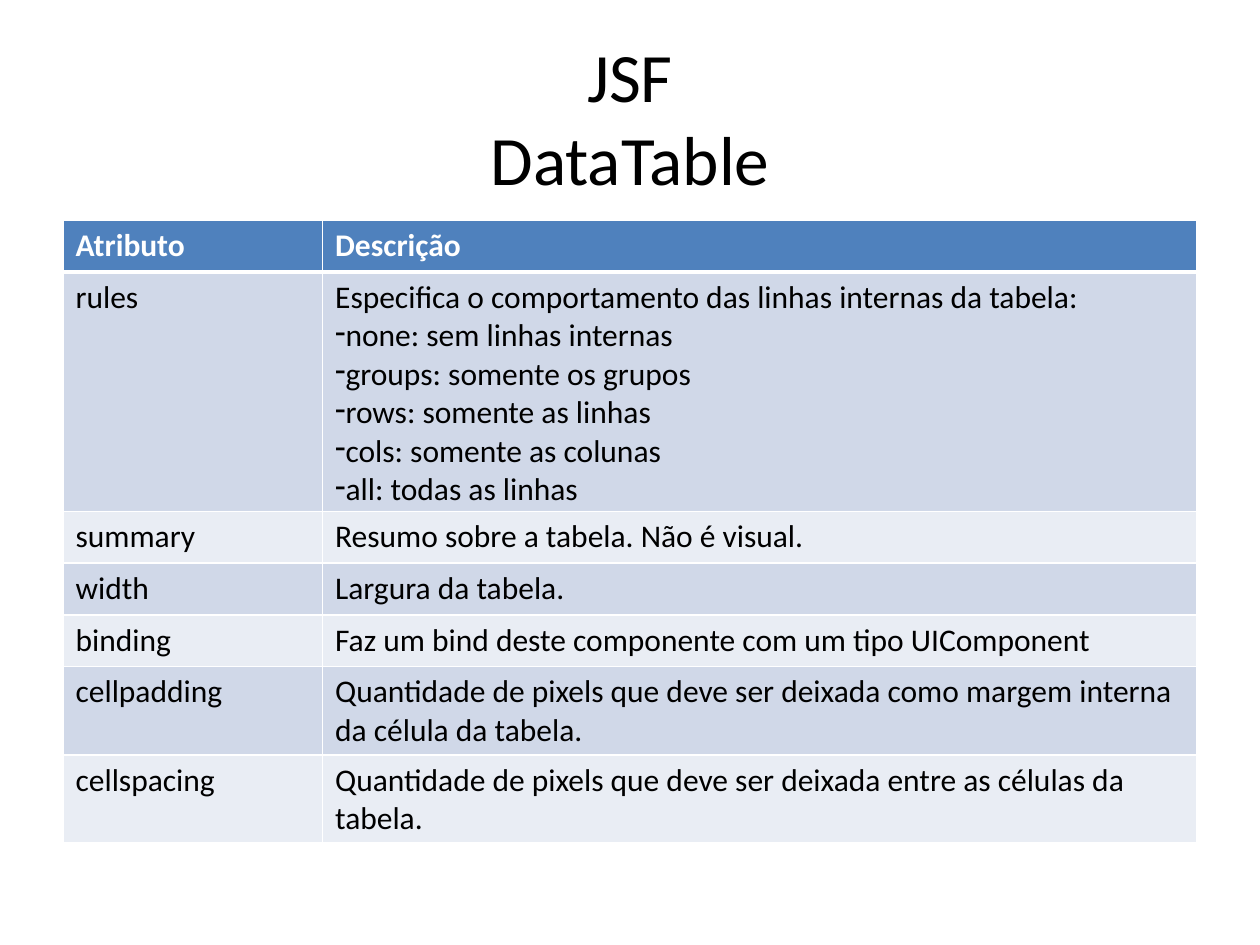
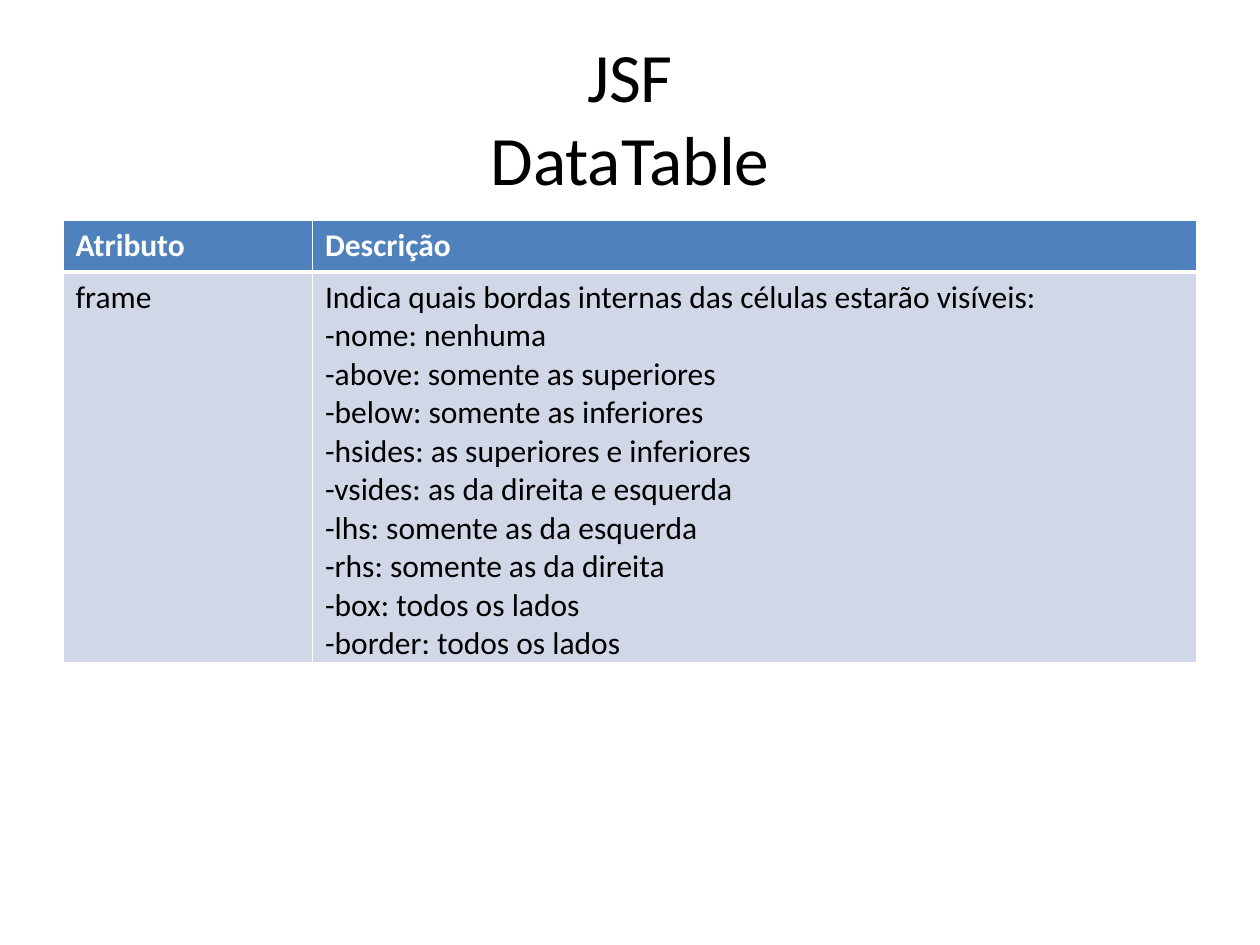
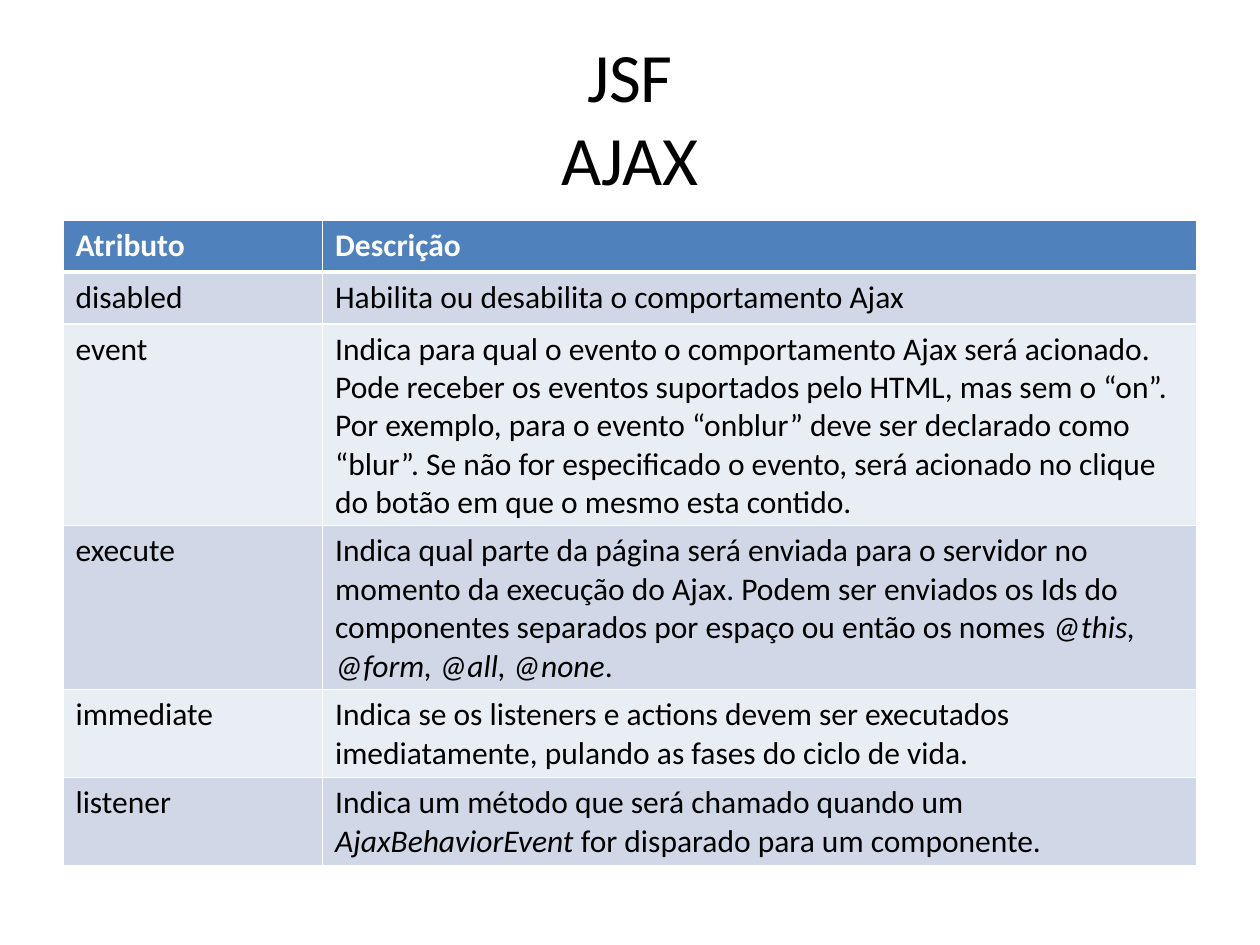
"""Builds three slides of JSF attribute tables."""
from lxml.etree import SubElement
from pptx import Presentation
from pptx.dml.color import RGBColor
from pptx.enum.text import MSO_ANCHOR, PP_ALIGN
from pptx.oxml import parse_xml
from pptx.oxml.ns import nsdecls, qn
from pptx.util import Inches, Pt

FONT = "Calibri"
COLORS = {"text": "000000", "header": "4F81BD", "header_text": "FFFFFF",
          "odd_row": "D0D8E8", "even_row": "E9EDF4", "border": "FFFFFF"}
MARGIN, TABLE_TOP, TABLE_WIDTH, ROW_HEIGHT = 0.5, 1.75, 9, 0.41
HEADER = ("Atributo", ["Descrição"])
BULLET, ITALIC = "- ", "*"

SLIDES = [
    {"title": "JSF\vDataTable", "name_width": 2.06, "rows": [
        ("rules", ["Especifica o comportamento das linhas internas da tabela:",
                   "- none: sem linhas internas",
                   "- groups: somente os grupos",
                   "- rows: somente as linhas",
                   "- cols: somente as colunas",
                   "- all: todas as linhas"]),
        ("summary", ["Resumo sobre a tabela. Não é visual."]),
        ("width", ["Largura da tabela."]),
        ("binding", ["Faz um bind deste componente com um tipo UIComponent"]),
        ("cellpadding", ["Quantidade de pixels que deve ser deixada como margem "
                         "interna da célula da tabela."]),
        ("cellspacing", ["Quantidade de pixels que deve ser deixada entre as "
                         "células da tabela."]),
    ]},
    {"title": "JSF\vDataTable", "name_width": 1.98, "rows": [
        ("frame", ["Indica quais bordas internas das células estarão visíveis:",
                   "-nome: nenhuma",
                   "-above: somente as superiores",
                   "-below: somente as inferiores",
                   "-hsides: as superiores e inferiores",
                   "-vsides: as da direita e esquerda",
                   "-lhs: somente as da esquerda",
                   "-rhs: somente as da direita",
                   "-box: todos os lados",
                   "-border: todos os lados"]),
    ]},
    {"title": "JSF\vAJAX", "name_width": 2.06, "rows": [
        ("disabled", ["Habilita ou desabilita o comportamento Ajax"]),
        ("event", ["Indica para qual o evento o comportamento Ajax será acionado. "
                   "Pode receber os eventos suportados pelo HTML, mas sem o “on”. "
                   "Por exemplo, para o evento “onblur” deve ser declarado como "
                   "“blur”. Se não for especificado o evento, será acionado no "
                   "clique do botão em que o mesmo esta contido."]),
        ("execute", ["Indica qual parte da página será enviada para o servidor no "
                     "momento da execução do Ajax. Podem ser enviados os Ids do "
                     "componentes separados por espaço ou então os nomes "
                     "*@this, @form, @all, @none*."]),
        ("immediate", ["Indica se os listeners e actions devem ser executados "
                       "imediatamente, pulando as fases do ciclo de vida."]),
        ("listener", ["Indica um método que será chamado quando um "
                      "*AjaxBehaviorEvent* for disparado para um componente."]),
    ]},
]


def set_font(para, size, color, bold=False):
    para.font.name = FONT
    para.font.size = Pt(size)
    para.font.bold = bold
    para.font.color.rgb = RGBColor.from_string(COLORS[color])


def add_title(page, title):
    box = page.shapes.add_textbox(Inches(MARGIN), Inches(0.3),
                                  Inches(TABLE_WIDTH), Inches(1.25))
    frame = box.text_frame
    frame.word_wrap = True
    frame.vertical_anchor = MSO_ANCHOR.MIDDLE
    para = frame.paragraphs[0]
    para.text = title
    para.alignment = PP_ALIGN.CENTER
    set_font(para, 39.6, "text")


def add_bullet(para):
    properties = para._p.get_or_add_pPr()
    properties.set("marL", "0")
    properties.set("indent", "0")
    bullet = SubElement(properties, qn("a:buChar"))
    bullet.set("char", BULLET.strip())
    properties.insert(0, bullet)


def set_borders(cell, bottom):
    properties = cell._tc.get_or_add_tcPr()
    widths = {"lnL": 1, "lnR": 1, "lnT": 1, "lnB": bottom}
    for place, (side, width) in enumerate(widths.items()):
        properties.insert(place, parse_xml(
            f'<a:{side} {nsdecls("a")} w="{Pt(width)}"><a:solidFill>'
            f'<a:srgbClr val="{COLORS["border"]}"/></a:solidFill></a:{side}>'))


def fill_cell(cell, lines, fill, is_header):
    cell.fill.solid()
    cell.fill.fore_color.rgb = RGBColor.from_string(COLORS[fill])
    set_borders(cell, 3 if is_header else 1)
    frame = cell.text_frame
    for number, line in enumerate(lines):
        para = frame.add_paragraph() if number else frame.paragraphs[0]
        set_font(para, 18, "header_text" if is_header else "text", is_header)
        if line.startswith(BULLET):
            add_bullet(para)
        for part, words in enumerate(line.removeprefix(BULLET).split(ITALIC)):
            span = para.add_run()
            span.text = words
            if part % 2:
                span.font.italic = True


def add_attribute_table(page, name_width, attributes):
    rows = [HEADER] + attributes
    table = page.shapes.add_table(
        len(rows), 2, Inches(MARGIN), Inches(TABLE_TOP),
        Inches(TABLE_WIDTH), Inches(ROW_HEIGHT * len(rows))).table
    table.columns[0].width = Inches(name_width)
    table.columns[1].width = Inches(TABLE_WIDTH - name_width)
    for number, (name, description) in enumerate(rows):
        fill = "odd_row" if number % 2 else "even_row" if number else "header"
        for column, lines in enumerate(([name], description)):
            fill_cell(table.cell(number, column), lines, fill, number == 0)


def main():
    deck = Presentation()
    deck.slide_width, deck.slide_height = Inches(10), Inches(7.5)
    for content in SLIDES:
        page = deck.slides.add_slide(deck.slide_layouts[6])
        add_title(page, content["title"])
        add_attribute_table(page, content["name_width"], content["rows"])
    deck.save("out.pptx")


if __name__ == "__main__":
    main()
